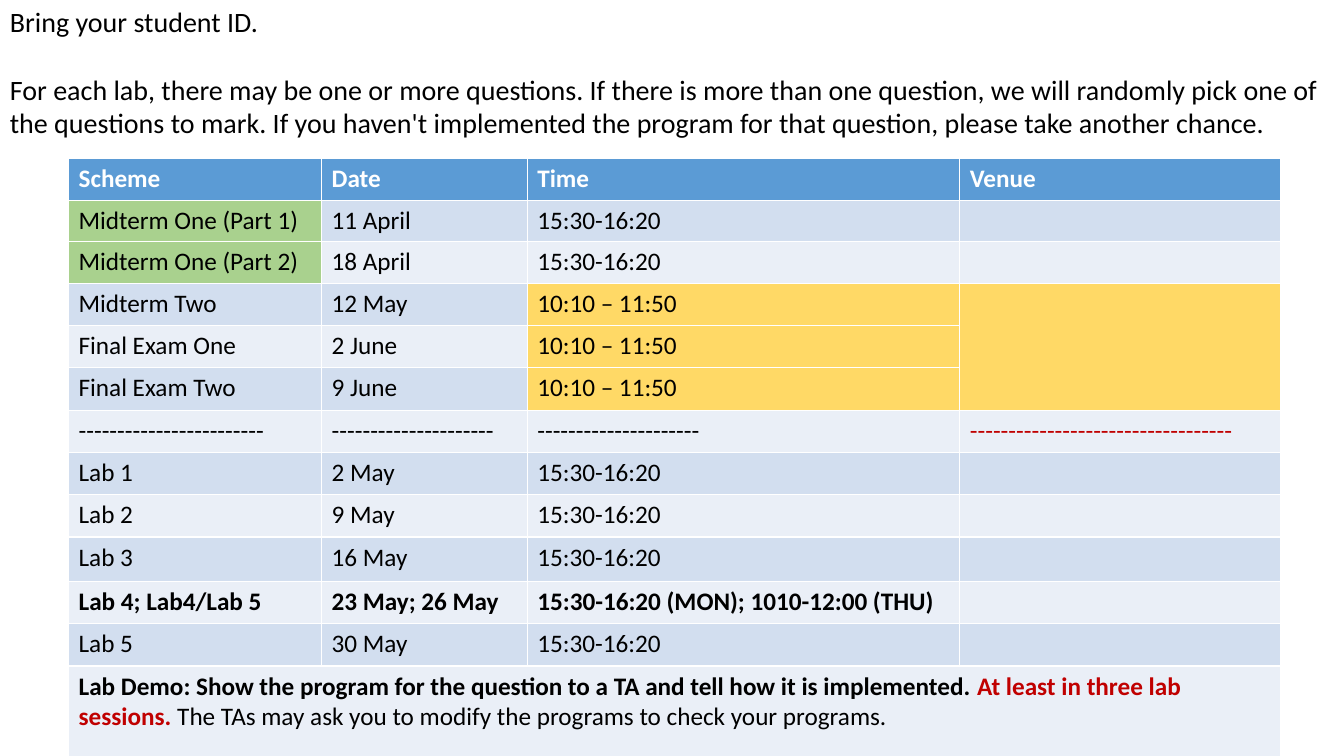
import pptx
import pptx.util
import pptx.dml.color

Inches = pptx.util.Inches
Pt = pptx.util.Pt
RGB = pptx.dml.color.RGBColor
BLACK = RGB(0, 0, 0)
WHITE = RGB(255, 255, 255)
RED = RGB(0xC0, 0, 0)
BLUE = RGB(0x5B, 0x9B, 0xD5)
BANDS = [RGB(0xEA, 0xEF, 0xF7), RGB(0xD2, 0xDE, 0xEF)]
GREEN = RGB(0xA9, 0xD1, 0x8E)
GOLD = RGB(0xFF, 0xD9, 0x66)


def add_run(para, text, size, color=BLACK, bold=False):
    run = para.add_run()
    run.text = text
    run.font.color.rgb = color
    for key, value in {"name": "Calibri", "size": Pt(size), "bold": bold}.items():
        setattr(run.font, key, value)


deck = pptx.Presentation()
deck.slide_width = Inches(13.33)
deck.slide_height = Inches(7.5)
slide = deck.slides.add_slide(deck.slide_layouts[6])

intro = slide.shapes.add_textbox(0, 0, Inches(13.33), Inches(1.45)).text_frame
intro.word_wrap = True
add_run(intro.paragraphs[0], "Bring your student ID.", 20)
para = intro.add_paragraph()
para.space_before = Pt(24)
add_run(para, "For each lab, there may be one or more questions. If there is more than "
        "one question, we will randomly pick one of the questions to mark. If you haven't "
        "implemented the program for that question, please take another chance.", 20)

LAB = "15:30-16:20"
EXAM = "10:10 – 11:50"
rows = [
    ("Scheme", "Date", "Time", "Venue"),
    ("Midterm One (Part 1)", "11 April", LAB, ""),
    ("Midterm One (Part 2)", "18 April", LAB, ""),
    ("Midterm Two", "12 May", EXAM, ""),
    ("Final Exam One", "2 June", EXAM, ""),
    ("Final Exam Two", "9 June", EXAM, ""),
    ("-" * 24, "-" * 21, "-" * 21, "-" * 34),
    ("Lab 1", "2 May", LAB, ""),
    ("Lab 2", "9 May", LAB, ""),
    ("Lab 3", "16 May", LAB, ""),
    ("Lab 4; Lab4/Lab 5", "23 May; 26 May", LAB + " (MON); 1010-12:00 (THU)", ""),
    ("Lab 5", "30 May", LAB, ""),
    ("", "", "", ""),
]
widths = [2.51, 2.04, 4.29, 3.18]
heights = [0.42, 0.41, 0.41] + [0.42] * 6 + [0.44, 0.42, 0.42, 0.99]
fills = {(1, 0): GREEN, (2, 0): GREEN}
fills.update({(row, col): GOLD for row in (3, 4, 5) for col in (2, 3)})
inks = {(0, col): WHITE for col in range(4)}
inks[6, 3] = RED

table = slide.shapes.add_table(len(rows), len(widths), Inches(0.68), Inches(1.57),
                               Inches(sum(widths)), Inches(sum(heights))).table
for col, width in enumerate(widths):
    table.columns[col].width = Inches(width)
for row, texts in enumerate(rows):
    table.rows[row].height = Inches(heights[row])
    for col, text in enumerate(texts):
        cell = table.cell(row, col)
        cell.fill.solid()
        band = BANDS[row % 2] if row else BLUE
        cell.fill.fore_color.rgb = fills.get((row, col), band)
        if text:
            add_run(cell.text_frame.paragraphs[0], text, 18,
                    inks.get((row, col), BLACK), row in (0, 10))

table.cell(3, 3).merge(table.cell(5, 3))
demo = table.cell(12, 0)
demo.merge(table.cell(12, 3))
for text, color, bold in [
    ("Lab Demo: Show the program for the question to a TA and tell how it is "
     "implemented. ", BLACK, True),
    ("At least in three lab sessions. ", RED, True),
    ("The TAs may ask you to modify the programs to check your programs.", BLACK, False),
]:
    add_run(demo.text_frame.paragraphs[0], text, 18, color, bold)

deck.save("out.pptx")
